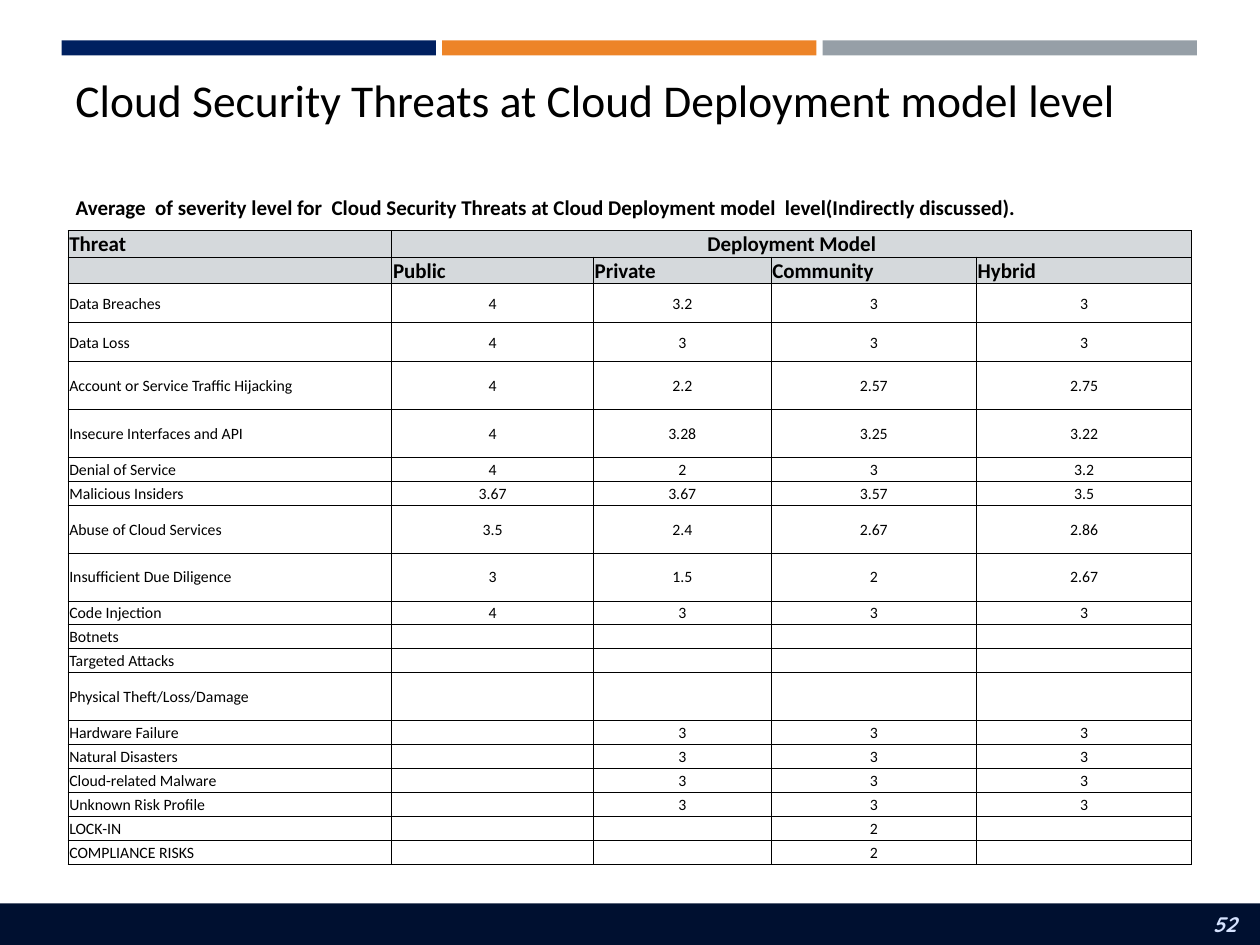
from lxml import etree
from pptx import Presentation
from pptx.dml.color import RGBColor
from pptx.enum.shapes import MSO_SHAPE as Preset
from pptx.enum.text import MSO_ANCHOR as Anchor, MSO_AUTO_SIZE as AutoSize, PP_ALIGN as Align
from pptx.oxml.ns import qn
from pptx.util import Inches, Pt

COLORS = {
    "navy": "002060",
    "orange": "ED8428",
    "gray": "969FA7",
    "footer": "001030",
    "number": "D6E3FF",
    "header": "D5D9DC",
    "black": "000000",
}

TITLE = "Cloud Security Threats at Cloud Deployment model level"
CAPTION = (
    "Average  of severity level for  Cloud Security Threats at "
    "Cloud Deployment model  level(Indirectly discussed)."
)
COLUMN_WIDTHS = [2.57, 1.6, 1.41, 1.63, 1.71]
SHORT, MEDIUM, TALL = 0.19, 0.31, 0.38
HEADER_ROWS = [
    (0.2, "Threat", ["Deployment Model", "", "", ""]),
    (SHORT, "", ["Public", "Private", "Community", "Hybrid"]),
]
THREAT_ROWS = [
    (MEDIUM, "Data Breaches", ["4", "3.2", "3", "3"]),
    (MEDIUM, "Data Loss", ["4", "3", "3", "3"]),
    (TALL, "Account or Service Traffic Hijacking", ["4", "2.2", "2.57", "2.75"]),
    (TALL, "Insecure Interfaces and API", ["4", "3.28", "3.25", "3.22"]),
    (SHORT, "Denial of Service", ["4", "2", "3", "3.2"]),
    (SHORT, "Malicious Insiders", ["3.67", "3.67", "3.57", "3.5"]),
    (TALL, "Abuse of Cloud Services", ["3.5", "2.4", "2.67", "2.86"]),
    (TALL, "Insufficient Due Diligence", ["3", "1.5", "2", "2.67"]),
    (SHORT, "Code Injection", ["4", "3", "3", "3"]),
    (SHORT, "Botnets", [""] * 4),
    (SHORT, "Targeted Attacks", [""] * 4),
    (TALL, "Physical Theft/Loss/Damage", [""] * 4),
    (SHORT, "Hardware Failure", ["", "3", "3", "3"]),
    (SHORT, "Natural Disasters", ["", "3", "3", "3"]),
    (SHORT, "Cloud-related Malware", ["", "3", "3", "3"]),
    (SHORT, "Unknown Risk Profile", ["", "3", "3", "3"]),
    (SHORT, "LOCK-IN", ["", "", "2", ""]),
    (SHORT, "COMPLIANCE RISKS", ["", "", "2", ""]),
]


def rgb(name):
    return RGBColor.from_string(COLORS[name])


def write_text(text_frame, text, size, color="black", font="Calibri",
               bold=False, italic=False, align=Align.LEFT):
    text_frame.text = text
    paragraph = text_frame.paragraphs[0]
    paragraph.alignment = align
    for run in paragraph.runs:
        run.font.size = Pt(size)
        run.font.name = font
        run.font.bold = bold
        run.font.italic = italic
        run.font.color.rgb = rgb(color)
    if not text:
        etree.SubElement(paragraph._p, qn("a:endParaRPr"), sz=str(size * 100))


def add_bar(slide, left, top, width, height, color):
    shape = slide.shapes.add_shape(
        Preset.RECTANGLE, Inches(left), Inches(top), Inches(width), Inches(height))
    shape.shadow.inherit = False
    shape.fill.solid()
    shape.fill.fore_color.rgb = rgb(color)
    shape.line.fill.background()


def add_text(slide, left, top, width, height, text, size, **style):
    shape = slide.shapes.add_textbox(
        Inches(left), Inches(top), Inches(width), Inches(height))
    shape.text_frame.word_wrap = True
    shape.text_frame.vertical_anchor = Anchor.MIDDLE
    write_text(shape.text_frame, text, size, **style)


def set_caption(slide):
    title = slide.shapes.title
    title.left, title.top = Inches(0.5), Inches(1.54)
    title.width, title.height = Inches(9), Inches(0.21)
    title.text_frame.auto_size = AutoSize.NONE
    title.text_frame.word_wrap = True
    title.text_frame.vertical_anchor = Anchor.MIDDLE
    write_text(title.text_frame, CAPTION, 12, bold=True)


def set_borders(cell):
    properties = cell._tc.get_or_add_tcPr()
    for side in ("lnL", "lnR", "lnT", "lnB"):
        line = etree.SubElement(properties, qn(f"a:{side}"), w=str(Pt(0.5)))
        fill = etree.SubElement(line, qn("a:solidFill"))
        etree.SubElement(fill, qn("a:srgbClr"), val=COLORS["black"])


def format_cell(cell, text, is_header, align):
    cell.margin_left = cell.margin_right = cell.margin_top = Inches(0.01)
    cell.margin_bottom = 0
    cell.vertical_anchor = Anchor.MIDDLE
    write_text(cell.text_frame, text, 12 if is_header else 9,
               bold=is_header, align=align)
    set_borders(cell)
    if is_header:
        cell.fill.solid()
        cell.fill.fore_color.rgb = rgb("header")
    else:
        cell.fill.background()


def add_threat_table(slide):
    rows = HEADER_ROWS + THREAT_ROWS
    frame = slide.shapes.add_table(
        len(rows), len(COLUMN_WIDTHS), Inches(0.54), Inches(1.83),
        Inches(sum(COLUMN_WIDTHS)), Inches(sum(row[0] for row in rows)))
    table = frame.table
    table.first_row = table.horz_banding = False
    for column, width in zip(table.columns, COLUMN_WIDTHS):
        column.width = Inches(width)
    for row_index, (height, threat, values) in enumerate(rows):
        table.rows[row_index].height = Inches(height)
        is_header = row_index < len(HEADER_ROWS)
        for column_index, text in enumerate([threat] + values):
            centered = column_index > 0 and row_index != 1
            format_cell(table.cell(row_index, column_index), text, is_header,
                        Align.CENTER if centered else Align.LEFT)
    table.cell(0, 1).merge(table.cell(0, 4))


def main():
    presentation = Presentation()
    presentation.slide_width = Inches(10)
    presentation.slide_height = Inches(7.5)
    slide = presentation.slides.add_slide(presentation.slide_layouts[5])
    for index, color in enumerate(("navy", "orange", "gray")):
        add_bar(slide, 0.49 + index * 3.02, 0.32, 2.97, 0.12, color)
    add_bar(slide, 0, 7.17, 10, 0.33, "footer")
    add_text(slide, 8.41, 7.17, 1.5, 0.33, "52", 12, color="number",
             font="Quicksand", bold=True, italic=True, align=Align.RIGHT)
    set_caption(slide)
    add_threat_table(slide)
    add_text(slide, 0.5, 0.3, 9.01, 0.98, TITLE, 26)
    presentation.save("out.pptx")


main()
